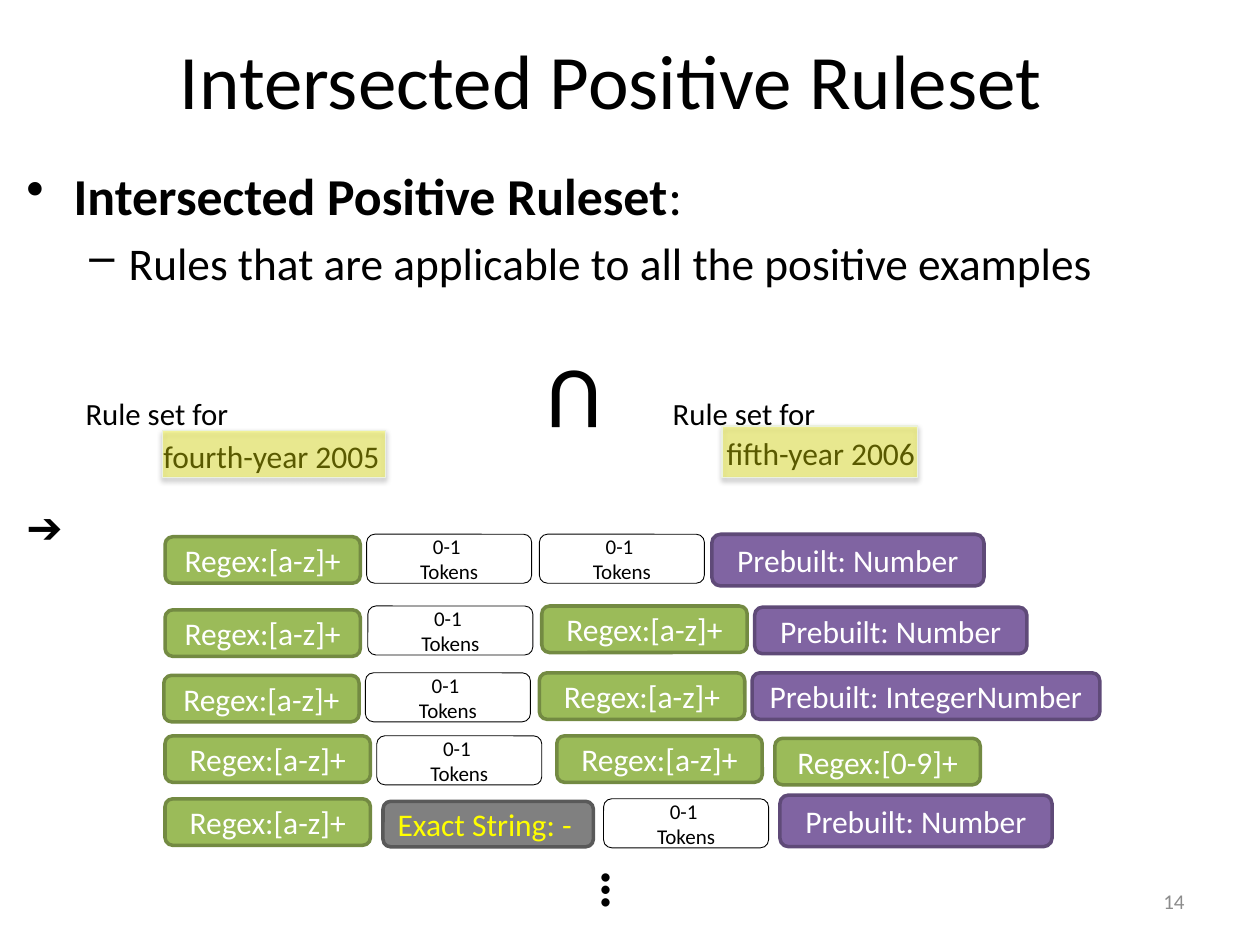
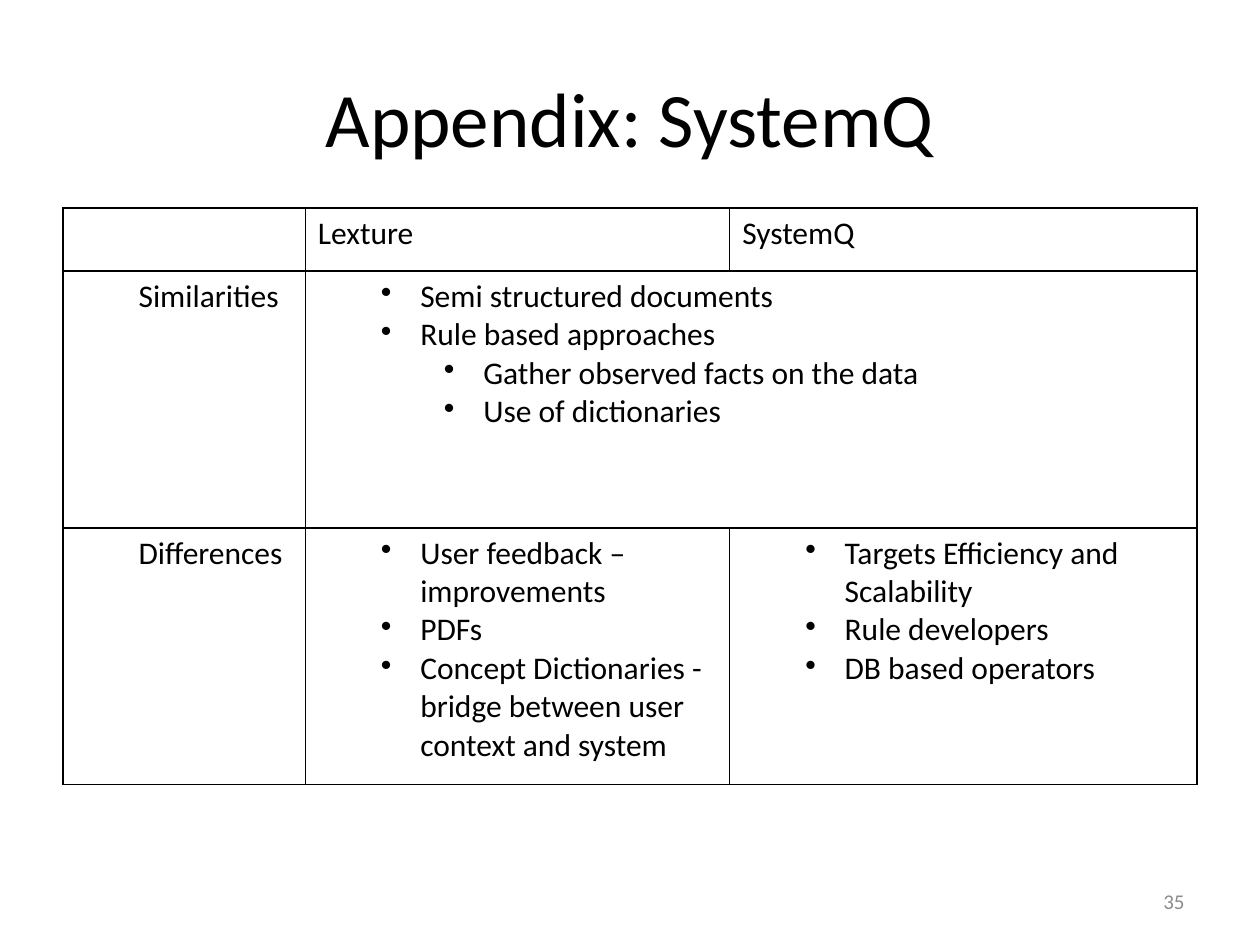
import dataclasses

import pptx
import pptx.dml.color
import pptx.enum.shapes
import pptx.enum.text
import pptx.oxml.ns
import pptx.util
from lxml import etree

Pt = pptx.util.Pt
ALIGN = pptx.enum.text.PP_ALIGN
ANCHOR = pptx.enum.text.MSO_ANCHOR
SHAPE = pptx.enum.shapes.MSO_SHAPE


@dataclasses.dataclass(frozen=True)
class Theme:
    font: str = "Calibri"
    ink: str = "000000"
    paper: str = "FFFFFF"
    muted: str = "8C8C8C"
    highlight: str = "FFFF00"
    highlight_edge: str = "EBF1DE"
    regex: str = "9BBB59"
    regex_edge: str = "738A42"
    prebuilt: str = "8064A2"
    prebuilt_edge: str = "5F4A78"
    exact: str = "808080"
    exact_edge: str = "595959"
    title: float = 44
    heading: float = 29.6
    subheading: float = 25.9
    operator: float = 50
    arrow: float = 24.8
    ellipsis: float = 32
    label: float = 17.6
    normal: float = 18
    small: float = 12


THEME = Theme()

CHIP_KINDS = {
    "regex": dict(fill=THEME.regex, edge=THEME.regex_edge, weight=2, height=26.6,
                  color=THEME.paper, size=THEME.normal, align=ALIGN.CENTER),
    "prebuilt": dict(fill=THEME.prebuilt, edge=THEME.prebuilt_edge, weight=2, height=26.6,
                     color=THEME.paper, size=THEME.normal, align=ALIGN.CENTER),
    "exact": dict(fill=THEME.exact, edge=THEME.exact_edge, weight=2, height=26,
                  color=THEME.highlight, size=THEME.normal, align=ALIGN.LEFT),
    "tokens": dict(fill=THEME.paper, edge=THEME.ink, weight=0.5, height=28,
                   color=THEME.ink, size=THEME.small, align=ALIGN.CENTER),
}
CHIP_KINDS["tall prebuilt"] = {**CHIP_KINDS["prebuilt"], "height": 29.5}

LETTERS = "Regex:[a-z]+"
DIGITS = "Regex:[0-9]+"
NUMBER = "Prebuilt: Number"
TOKENS = "0-1 \nTokens"

RULES = [
    [("regex", LETTERS, 94.3, 306.7, 111.6), ("tokens", TOKENS, 209.5, 305.3, 94.3),
     ("tokens", TOKENS, 308.2, 305.3, 94.3), ("tall prebuilt", NUMBER, 406.8, 305.3, 155.5)],
    [("regex", LETTERS, 94.3, 348.5, 111.6), ("tokens", TOKENS, 210.2, 346.3, 94.3),
     ("regex", LETTERS, 309.6, 346.3, 117.4), ("prebuilt", NUMBER, 431.3, 347, 155.5)],
    [("regex", LETTERS, 93.6, 385.9, 111.6), ("tokens", TOKENS, 208.8, 384.5, 94.3),
     ("regex", LETTERS, 308.2, 384.5, 117.4),
     ("prebuilt", "Prebuilt: IntegerNumber", 429.8, 384.5, 198.7)],
    [("regex", LETTERS, 94.3, 420.5, 117.4), ("tokens", TOKENS, 215.3, 420.5, 94.3),
     ("regex", LETTERS, 318.2, 420.5, 117.4), ("regex", DIGITS, 442.8, 421.9, 117.4)],
    [("regex", LETTERS, 94.3, 456.5, 117.4), ("exact", "Exact String: -", 218.9, 457.9, 120.2),
     ("tokens", TOKENS, 344.9, 456.5, 94.3), ("tall prebuilt", NUMBER, 445.7, 454.3, 155.5)],
]

ROW_LABEL = (36, 0, None)
BULLET = (58.5, -22.5, "•")
SUB_BULLET = (94.5, -22.5, "•")

COMPARISON = [
    [[], [("Lexture", None)], [("SystemQ", None)]],
    [[("Similarities", ROW_LABEL)],
     [("Semi structured documents", BULLET), ("Rule based approaches", BULLET),
      ("Gather observed facts on the data", SUB_BULLET), ("Use of dictionaries", SUB_BULLET)],
     []],
    [[("Differences", ROW_LABEL)],
     [("User feedback – improvements", BULLET), ("PDFs", BULLET),
      ("Concept Dictionaries - bridge between user context and system", BULLET)],
     [("Targets Efficiency and Scalability", BULLET), ("Rule developers", BULLET),
      ("DB based operators", BULLET)]],
]


def rgb(value):
    return pptx.dml.color.RGBColor.from_string(value)


def apply(target, values):
    for name, value in values.items():
        setattr(target, name, value)


def child(parent, tag, **attributes):
    return etree.SubElement(parent, pptx.oxml.ns.qn(tag), attributes)


def add_run(paragraph, words, size, color=THEME.ink, bold=False):
    run = paragraph.add_run()
    run.text = words
    apply(run.font, {"name": THEME.font, "size": Pt(size), "bold": bold})
    run.font.color.rgb = rgb(color)


def indent(paragraph, margin, hanging, bullet):
    properties = paragraph._p.get_or_add_pPr()
    properties.set("marL", str(Pt(margin)))
    properties.set("indent", str(Pt(hanging)))
    if bullet:
        child(properties, "a:buChar", char=bullet)


def write(frame, text, size, color=THEME.ink, align=ALIGN.LEFT, bold=False,
          anchor=ANCHOR.TOP):
    apply(frame, {"word_wrap": True, "vertical_anchor": anchor})
    for number, line in enumerate(text.split("\n")):
        paragraph = frame.add_paragraph() if number else frame.paragraphs[0]
        paragraph.alignment = align
        add_run(paragraph, line, size, color, bold)


def add_text(slide, box, text, size, rotation=0, **format_values):
    holder = slide.shapes.add_textbox(*map(Pt, box))
    holder.rotation = rotation
    write(holder.text_frame, text, size, **format_values)


def add_title(slide, text, left, top, width):
    add_text(slide, (left, top, width, 90), text, THEME.title,
             align=ALIGN.CENTER, anchor=ANCHOR.MIDDLE)


def add_page_number(slide, number):
    add_text(slide, (516.2, 500.4, 167.8, 28.8), str(number), THEME.small,
             color=THEME.muted, align=ALIGN.RIGHT, anchor=ANCHOR.MIDDLE)


def add_definition(slide, term, meaning):
    frame = slide.shapes.add_textbox(Pt(8), Pt(90), Pt(648), Pt(74)).text_frame
    frame.word_wrap = True
    heading = frame.paragraphs[0]
    indent(heading, 27, -27, "•")
    add_run(heading, term, THEME.heading, bold=True)
    add_run(heading, ":", THEME.heading)
    detail = frame.add_paragraph()
    indent(detail, 58.5, -22.5, "–")
    detail.space_before = Pt(5.2)
    add_run(detail, meaning, THEME.subheading)


def add_block(slide, shape_type, box, fill=None, edge=None, weight=0):
    block = slide.shapes.add_shape(shape_type, *map(Pt, box))
    block.shadow.inherit = False
    if fill:
        block.fill.solid()
        block.fill.fore_color.rgb = rgb(fill)
        block.line.color.rgb = rgb(edge)
        block.line.width = Pt(weight)
    else:
        block.fill.background()
        block.line.fill.background()
    return block


def add_chip(slide, kind, text, left, top, width):
    style = CHIP_KINDS[kind]
    chip = add_block(slide, SHAPE.FLOWCHART_ALTERNATE_PROCESS,
                     (left, top, width, style["height"]),
                     style["fill"], style["edge"], style["weight"])
    write(chip.text_frame, text, style["size"], style["color"], style["align"],
          anchor=ANCHOR.MIDDLE)


def add_highlighted_example(slide, text, text_box, marker_box):
    example = add_block(slide, SHAPE.FLOWCHART_ALTERNATE_PROCESS, text_box)
    write(example.text_frame, text, THEME.normal, anchor=ANCHOR.MIDDLE)
    marker = add_block(slide, SHAPE.FLOWCHART_PROCESS, marker_box,
                       THEME.highlight, THEME.highlight_edge, 0.75)
    properties = marker._element.spPr
    tint = properties.find(pptx.oxml.ns.qn("a:solidFill"))[0]
    child(tint, "a:alpha", val="35000")
    effects = properties.find(pptx.oxml.ns.qn("a:effectLst"))
    shadow = child(effects, "a:outerShdw", blurRad=str(Pt(3.1)), dist=str(Pt(1.6)),
                   dir="5400000", rotWithShape="0")
    child(child(shadow, "a:srgbClr", val=THEME.ink), "a:alpha", val="38000")


def frame_cell(cell):
    properties = cell._tc.get_or_add_tcPr()
    for side in ("a:lnL", "a:lnR", "a:lnT", "a:lnB"):
        border = child(properties, side, w=str(Pt(1)))
        child(child(border, "a:solidFill"), "a:srgbClr", val=THEME.ink)
    cell.fill.background()


def fill_cell(cell, entries):
    for number, (text, layout) in enumerate(entries):
        frame = cell.text_frame
        paragraph = frame.add_paragraph() if number else frame.paragraphs[0]
        if layout:
            indent(paragraph, *layout)
        add_run(paragraph, text, THEME.normal)


def add_comparison(slide, rows, widths, heights):
    table = slide.shapes.add_table(len(rows), len(widths), Pt(36), Pt(118.8),
                                   Pt(sum(widths)), Pt(sum(heights))).table
    apply(table, {"first_row": False, "horz_banding": False})
    for column, width in zip(table.columns, widths):
        column.width = Pt(width)
    for row, height in zip(table.rows, heights):
        row.height = Pt(height)
    for row, contents in zip(table.rows, rows):
        for cell, entries in zip(row.cells, contents):
            frame_cell(cell)
            fill_cell(cell, entries)
    table.cell(1, 1).merge(table.cell(1, 2))


def build_ruleset(slide):
    add_title(slide, "Intersected Positive Ruleset", 14.4, 0, 669.6)
    add_definition(slide, "Intersected Positive Ruleset",
                   "Rules that are applicable to all the positive examples")
    add_text(slide, (306.7, 200.2, 44.6, 65.5), "U", THEME.operator, rotation=180)
    add_text(slide, (8, 282.2, 373, 31.7), "➔", THEME.arrow)
    for left in (41.8, 377.3):
        add_text(slide, (left, 221.8, 117.4, 25.2), "Rule set for", THEME.label)
    add_text(slide, (331.2, 488.2, 46, 50.4), "…", THEME.ellipsis, rotation=90, bold=True)
    add_highlighted_example(slide, "fourth-year 2005", (85, 247, 221.8, 26.6),
                            (92.9, 246.2, 127.4, 26.6))
    add_highlighted_example(slide, "fifth-year 2006", (406.8, 245.5, 221.8, 26.6),
                            (412.6, 243.4, 111.6, 29.5))
    for rule in RULES:
        for chip in rule:
            add_chip(slide, *chip)
    add_page_number(slide, 14)


def build_appendix(slide):
    add_title(slide, "Appendix: SystemQ", 36, 21.6, 648)
    add_comparison(slide, COMPARISON, (138.5, 242.5, 267), (36, 146.8, 146.8))
    add_page_number(slide, 35)


def main():
    deck = pptx.Presentation()
    apply(deck, {"slide_width": Pt(720), "slide_height": Pt(540)})
    for build in (build_ruleset, build_appendix):
        build(deck.slides.add_slide(deck.slide_layouts[6]))
    deck.save("out.pptx")


if __name__ == "__main__":
    main()
